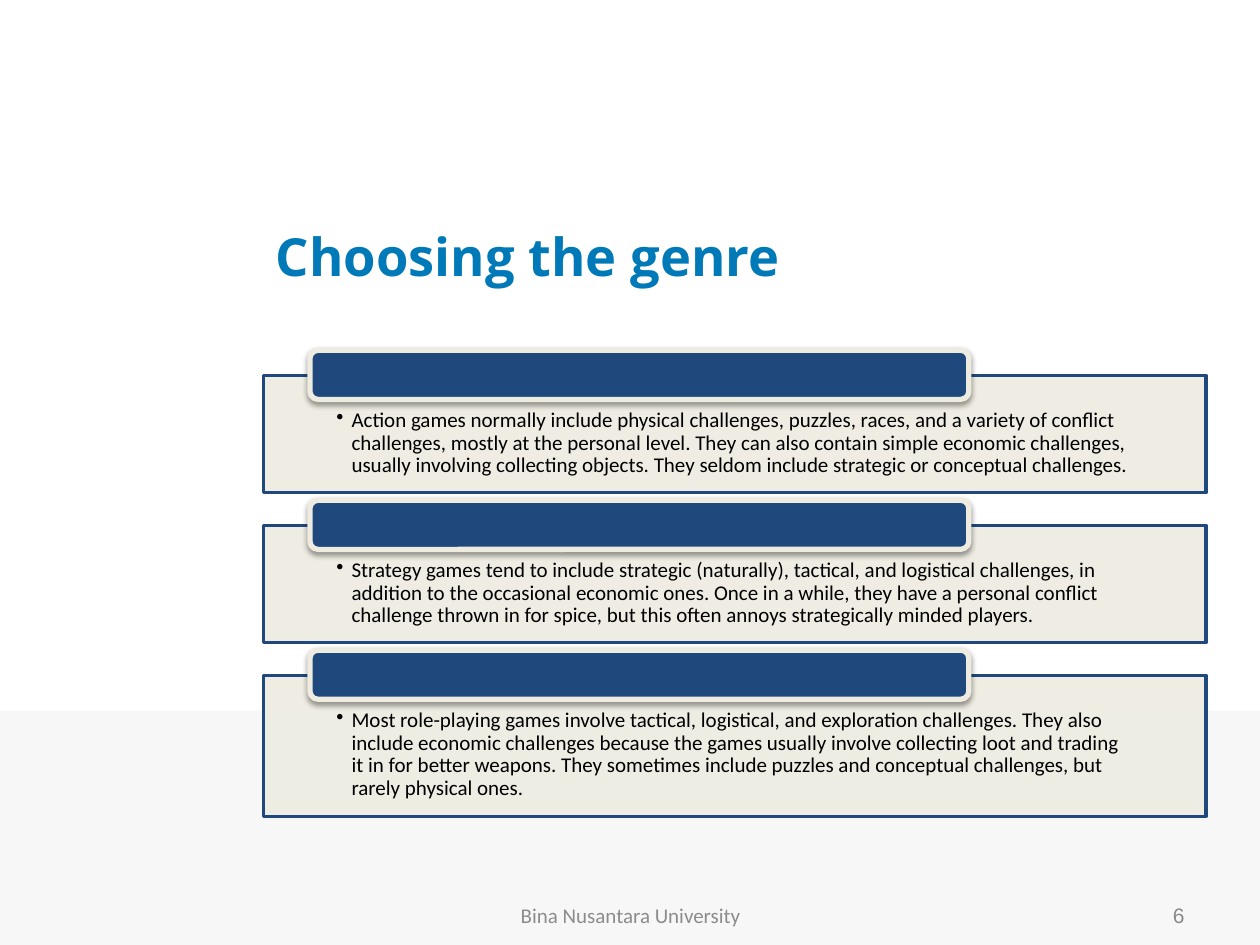
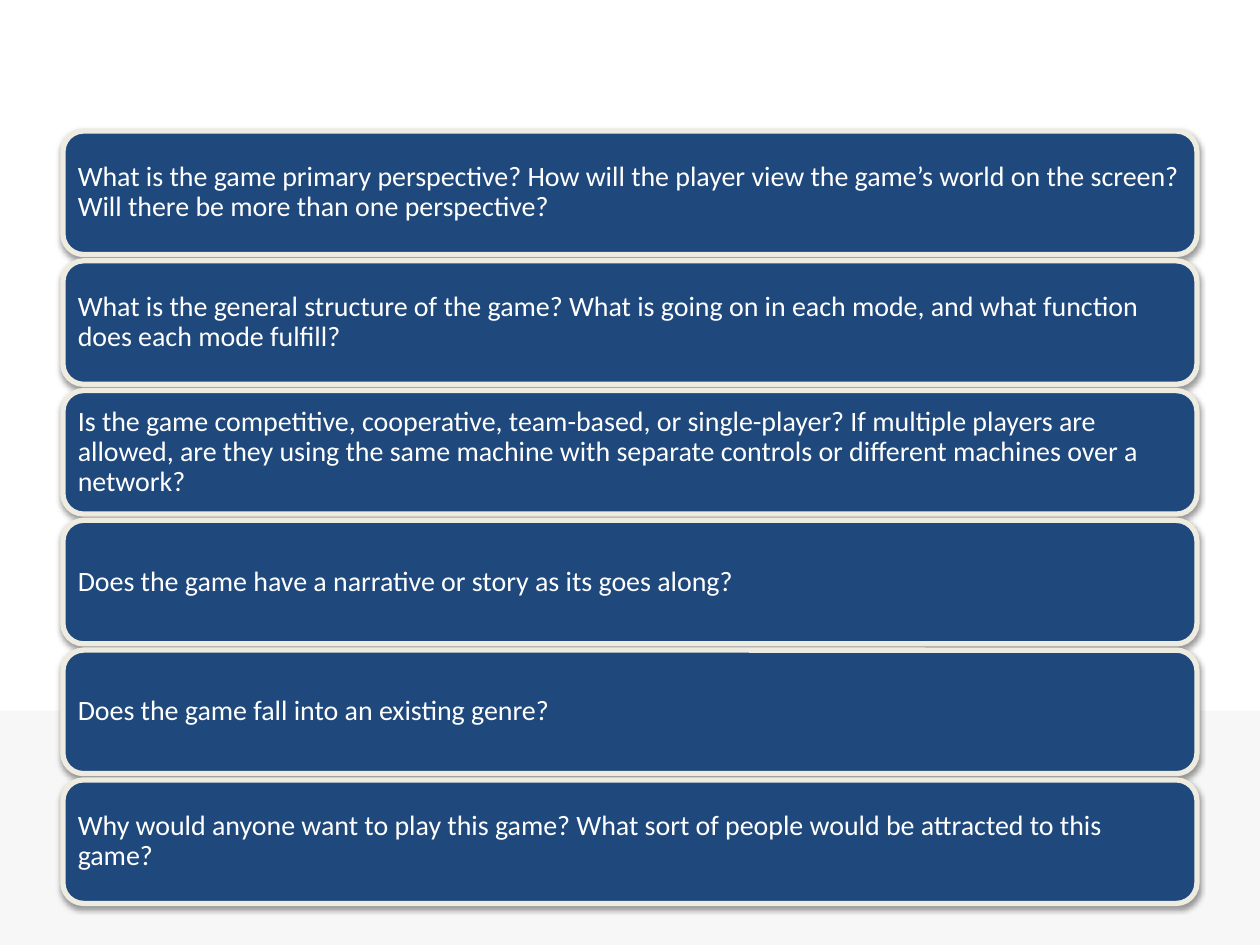
from dataclasses import dataclass

import pptx
import pptx.dml.color
import pptx.enum.shapes
import pptx.enum.text
import pptx.oxml.ns
import pptx.util
from lxml import etree
from pptx.util import Inches

COLOURS = {
    "band": "F7F7F7",
    "title": "0079B8",
    "navy": "1F497D",
    "cream": "EEECE1",
    "text": "000000",
    "white": "FFFFFF",
    "footer": "8C8C8C",
    "number": "898989",
}
RECTANGLE = pptx.enum.shapes.MSO_SHAPE.RECTANGLE
ROUNDED = pptx.enum.shapes.MSO_SHAPE.ROUNDED_RECTANGLE
ALIGN = pptx.enum.text.PP_ALIGN
ANCHOR = pptx.enum.text.MSO_ANCHOR
qualified = pptx.oxml.ns.qn


@dataclass
class Area:
    left: float
    top: float
    width: float
    height: float

    def lengths(self) -> tuple:
        return tuple(Inches(side) for side in (self.left, self.top, self.width, self.height))


@dataclass
class Genre:
    height: float
    text: str


@dataclass
class FooterItem:
    area: Area
    text: str
    align: ALIGN
    font: str
    colour: str


TITLE_AREA = Area(2.09, 1.59, 7.48, 0.87)
BAND_AREA = Area(0, 5.64, 10, 1.86)
PANEL_TOP, PANEL_GAP, TAB_RISE = 2.98, 0.26, 0.2
CARD_TOP, CARD_STEP = 1.04, 1.03

GENRES = [
    Genre(0.93, "Action games normally include physical challenges, puzzles, races, and a variety of "
          "conflict challenges, mostly at the personal level. They can also contain simple economic "
          "challenges, usually involving collecting objects. They seldom include strategic or "
          "conceptual challenges."),
    Genre(0.93, "Strategy games tend to include strategic (naturally), tactical, and logistical "
          "challenges, in addition to the occasional economic ones. Once in a while, they have a "
          "personal conflict challenge thrown in for spice, but this often annoys strategically "
          "minded players."),
    Genre(1.12, "Most role-playing games involve tactical, logistical, and exploration challenges. "
          "They also include economic challenges because the games usually involve collecting loot "
          "and trading it in for better weapons. They sometimes include puzzles and conceptual "
          "challenges, but rarely physical ones."),
]
QUESTIONS = [
    "What is the game primary perspective? How will the player view the game’s world on the screen? "
    "Will there be more than one perspective?",
    "What is the general structure of the game? What is going on in each mode, and what function "
    "does each mode fulfill?",
    "Is the game competitive, cooperative, team-based, or single-player? If multiple players are "
    "allowed, are they using the same machine with separate controls or different machines over a "
    "network?",
    "Does the game have a narrative or story as its goes along?",
    "Does the game fall into an existing genre?",
    "Why would anyone want to play this game? What sort of people would be attracted to this game?",
]
FOOTER = [
    FooterItem(Area(3.42, 7.06, 3.17, 0.4), "Bina Nusantara University", ALIGN.CENTER,
               "Calibri", "footer"),
    FooterItem(Area(7.17, 7.06, 2.33, 0.4), "6", ALIGN.RIGHT, "Arial", "number"),
]


def rgb(name: str) -> pptx.dml.color.RGBColor:
    return pptx.dml.color.RGBColor.from_string(COLOURS[name])


def add_filled(page, preset, area: Area, fill: str, line: str | None = None, weight: float = 0):
    shape = page.shapes.add_shape(preset, *area.lengths())
    shape.shadow.inherit = False
    shape.fill.solid()
    shape.fill.fore_color.rgb = rgb(fill)
    if line:
        shape.line.color.rgb = rgb(line)
        shape.line.width = pptx.util.Pt(weight)
    else:
        shape.line.fill.background()
    return shape


def write(box, text: str, size: float, font: str, colour: str, align=ALIGN.LEFT,
          anchor=ANCHOR.MIDDLE, margins: tuple = (0.1, 0.05, 0.1, 0.05), bold: bool = False):
    frame = box.text_frame
    frame.word_wrap = True
    frame.vertical_anchor = anchor
    (frame.margin_left, frame.margin_top,
     frame.margin_right, frame.margin_bottom) = (Inches(margin) for margin in margins)
    frame.text = text
    para = frame.paragraphs[0]
    para.alignment = align
    para.font.size = pptx.util.Pt(size)
    para.font.name = font
    para.font.bold = bold
    para.font.color.rgb = rgb(colour)
    return para


def add_raised_box(page, area: Area):
    shape = add_filled(page, ROUNDED, area, "navy", "cream", 3)
    effects = shape._element.spPr.find(qualified("a:effectLst"))
    shadow = etree.SubElement(effects, qualified("a:outerShdw"), blurRad="40000", dist="20000",
                              dir="5400000", rotWithShape="0")
    colour = etree.SubElement(shadow, qualified("a:srgbClr"), val=COLOURS["text"])
    etree.SubElement(colour, qualified("a:alpha"), val="38000")
    return shape


def add_panel(page, top: float, genre: Genre) -> None:
    panel = add_filled(page, RECTANGLE, Area(2.09, top, 7.48, genre.height), "cream", "navy", 2)
    fill = panel._element.spPr.find(qualified("a:solidFill"))
    etree.SubElement(fill[0], qualified("a:alpha"), val="90000")
    para = write(panel, genre.text, 12, "Calibri", "text", anchor=ANCHOR.TOP,
                 margins=(0.58, 0.27, 0.58, 0.09))
    para.line_spacing = 0.9
    properties = para._p.get_or_add_pPr()
    properties.set("marL", str(Inches(0.12)))
    properties.set("indent", str(-Inches(0.12)))
    bullet = etree.Element(qualified("a:buChar"), char="•")
    properties.find(qualified("a:defRPr")).addprevious(bullet)
    add_raised_box(page, Area(2.46, top - TAB_RISE, 5.23, 0.39))


def add_card(page, top: float, question: str) -> None:
    card = add_raised_box(page, Area(0.5, top, 9, 0.98))
    para = write(card, question, 16, "Calibri", "white", margins=(0.07,) * 4)
    para.line_spacing = 0.9


def add_page(deck, layout_name: str):
    page = deck.slides.add_slide(deck.slide_layouts.get_by_name(layout_name))
    add_filled(page, RECTANGLE, BAND_AREA, "band")
    return page


def build_genre_page(deck) -> None:
    page = add_page(deck, "Title Only")
    title = page.shapes.title
    title.left, title.top, title.width, title.height = TITLE_AREA.lengths()
    write(title, "Choosing the genre", 30, "Open Sans", "title", bold=True)
    top = PANEL_TOP
    for genre in GENRES:
        add_panel(page, top, genre)
        top += genre.height + PANEL_GAP
    for item in FOOTER:
        box = page.shapes.add_textbox(*item.area.lengths())
        write(box, item.text, 12, item.font, item.colour, item.align)


def build_worksheet_page(deck) -> None:
    page = add_page(deck, "Blank")
    for index, question in enumerate(QUESTIONS):
        add_card(page, CARD_TOP + index * CARD_STEP, question)


def main() -> None:
    deck = pptx.Presentation()
    deck.slide_width, deck.slide_height = Inches(10), Inches(7.5)
    build_genre_page(deck)
    build_worksheet_page(deck)
    deck.save("out.pptx")


if __name__ == "__main__":
    main()
